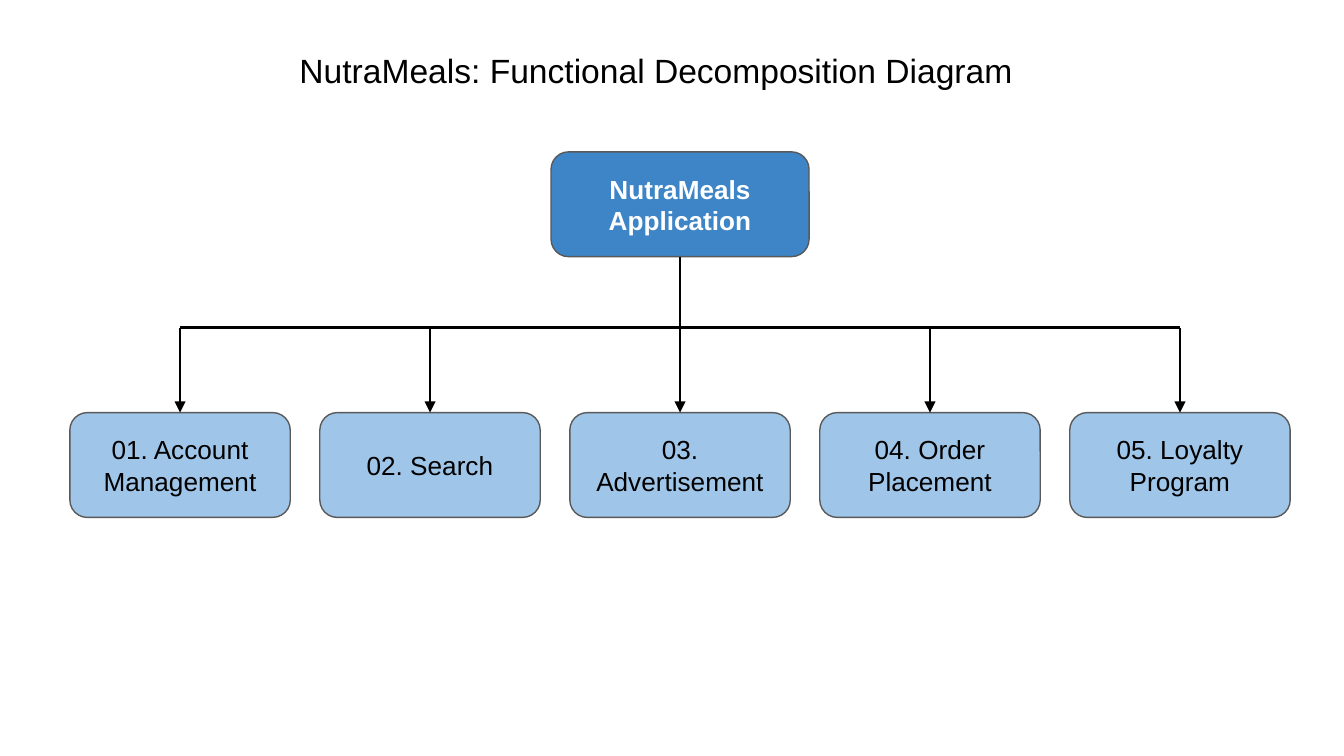
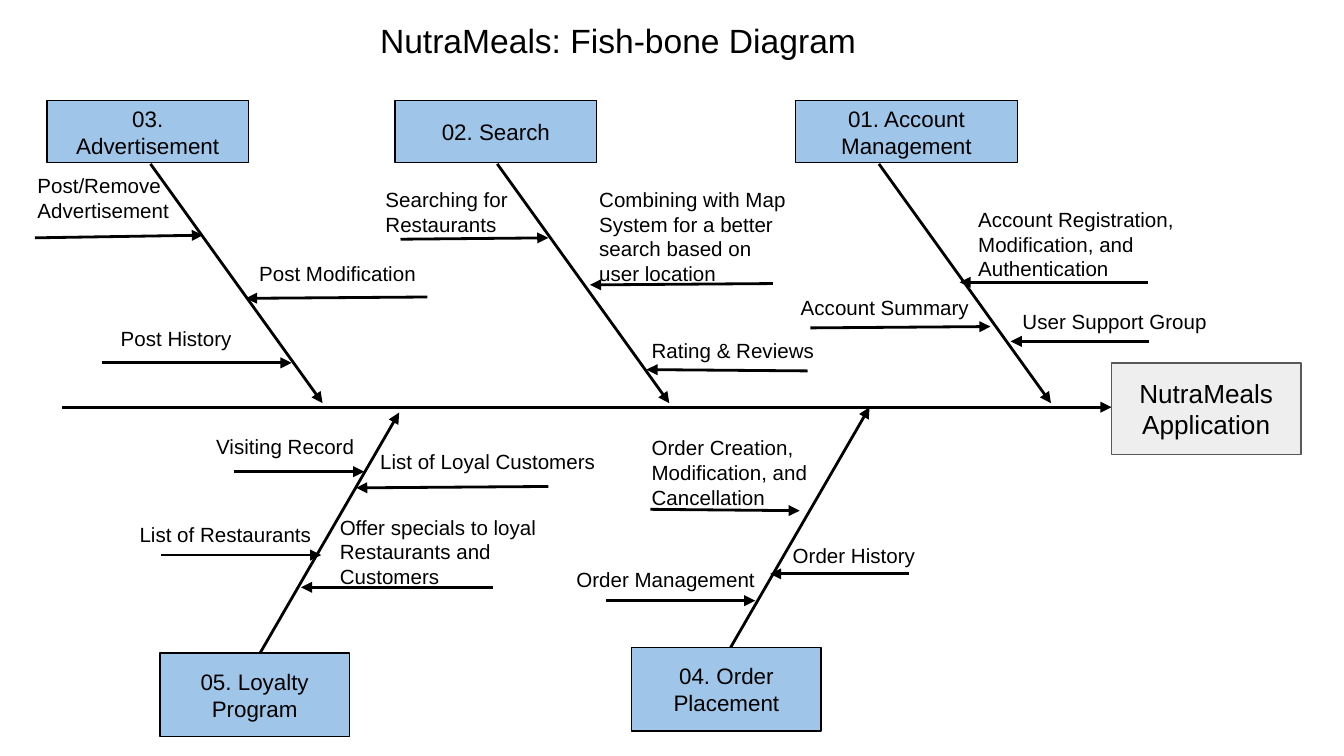
from lxml import etree
from pptx import Presentation
from pptx.dml.color import RGBColor
from pptx.enum.shapes import MSO_CONNECTOR, MSO_SHAPE
from pptx.enum.text import MSO_ANCHOR, MSO_AUTO_SIZE, PP_ALIGN
from pptx.oxml.ns import qn
from pptx.util import Emu, Inches, Pt

RECTANGLE = MSO_SHAPE.RECTANGLE
ROUNDED = MSO_SHAPE.ROUNDED_RECTANGLE
STRAIGHT = MSO_CONNECTOR.STRAIGHT
TOP, MIDDLE = MSO_ANCHOR.TOP, MSO_ANCHOR.MIDDLE
LEFT, CENTER = PP_ALIGN.LEFT, PP_ALIGN.CENTER

SLIDE_WIDTH, SLIDE_HEIGHT = Inches(10), Inches(5.625)
GRID_UNIT = SLIDE_WIDTH // 100
FONT = "Arial"
BLACK, WHITE, GRAY = "000000", "FFFFFF", "595959"
BLUE, LIGHT_BLUE, LIGHT_GRAY = "3D85C6", "9FC5E8", "EEEEEE"

APPLICATION = "NutraMeals Application"
ACCOUNT, SEARCH = "01. Account Management", "02. Search"
ADVERTISEMENT, ORDER = "03. Advertisement", "04. Order Placement"
LOYALTY = "05. Loyalty Program"
FUNCTIONS = [ACCOUNT, SEARCH, ADVERTISEMENT, ORDER, LOYALTY]

SPINE_ROW = 30.3
UPPER_BONE = (12.2, 12.8, 30)
LOWER_BONE = (48.8, 10.7, SPINE_ROW)

# Each category: name, box (column, row, width, height), bone column, bone shape.
CATEGORIES = [
    (ADVERTISEMENT, (3.5, 7.5, 15, 4.6), 11.2, UPPER_BONE),
    (SEARCH, (29.4, 7.5, 15, 4.6), 37, UPPER_BONE),
    (ACCOUNT, (59.2, 7.5, 16.5, 4.6), 65.4, UPPER_BONE),
    (LOYALTY, (11.9, 48.6, 14.1, 6.2), 19, (49.2, 10.7, 30.7)),
    (ORDER, (47, 48.2, 14.1, 6.2), 54, LOWER_BONE),
]

# Each cause: label, label (column, row, width), arrow start, arrow tip.
CAUSES = [
    ("Post/Remove Advertisement", (1.8, 11.9, 12.8), (2.6, 17.7), (15.1, 17.5)),
    ("Post Modification", (18.3, 18.5, 16.5), (31.8, 22.1), (18.3, 22.2)),
    ("Post History", (8, 23.3, 14.3), (7.6, 27), (21.7, 27)),
    ("Searching for Restaurants", (27.7, 12.9, 19.3), (29.8, 17.8), (40.8, 17.7)),
    ("Combining with Map System for a better search based on user location",
     (43.6, 12.9, 16.5), (57.5, 21.1), (43.9, 21.2)),
    ("Rating & Reviews", (47.5, 24.2, 16.5), (60.1, 27.6), (48.1, 27.5)),
    ("Account Registration, Modification, and Authentication",
     (71.8, 14.4, 21), (85.4, 21), (71.4, 21)),
    ("Account Summary", (58.6, 21, 17.7), (60.3, 24.4), (73.7, 24.3)),
    ("User Support Group", (75.1, 22.1, 17.7), (85.5, 25.4), (75.2, 25.4)),
    ("Visiting Record", (15.1, 31.4, 12.8), (17.4, 35.1), (27.1, 35.1)),
    ("List of Loyal Customers", (27.3, 32.5, 20.2), (40.8, 36.2), (26.5, 36.3)),
    ("List of Restaurants", (9.4, 37.9, 17), (12, 41.3), (23.9, 41.3)),
    ("Offer specials to loyal Restaurants and Customers",
     (24.3, 37.3, 19.3), (36.7, 43.7), (22.4, 43.7)),
    ("Order Creation, Modification, and Cancellation",
     (47.5, 31.4, 17.7), (48.4, 37.9), (59.5, 38)),
    ("Order History", (58, 39.5, 17.7), (67.6, 42.7), (57.3, 42.7)),
    ("Order Management", (41.9, 41.3, 17.7), (45.1, 44.7), (56.2, 44.7)),
]


def color(value):
    """Turn a hex string into a colour."""
    return RGBColor.from_string(value)


def grid(*cells):
    """Convert columns and rows, each a hundredth of the width, to lengths."""
    return [Emu(round(cell * GRID_UNIT)) for cell in cells]


def write(box, text, size, font_color=BLACK, bold=False, align=LEFT, anchor=TOP):
    """Put one wrapped paragraph with even margins into a box."""
    frame = box.text_frame
    frame.word_wrap = True
    frame.vertical_anchor = anchor
    frame.margin_left = frame.margin_right = Inches(0.1)
    frame.margin_top = frame.margin_bottom = Inches(0.1)
    para = frame.paragraphs[0]
    para.alignment = align
    span = para.add_run()
    span.text = text
    span.font.name = FONT
    span.font.size = Pt(size)
    span.font.bold = bold
    span.font.color.rgb = color(font_color)
    return frame


def add_box(page, kind, place, text, size, fill=LIGHT_BLUE, line=BLACK,
            font_color=BLACK, bold=False):
    """Add a filled, outlined box with centred text."""
    box = page.shapes.add_shape(kind, *grid(*place))
    box.shadow.inherit = False
    box.fill.solid()
    box.fill.fore_color.rgb = color(fill)
    box.line.color.rgb = color(line)
    box.line.width = Pt(0.75)
    write(box, text, size, font_color, bold, CENTER, MIDDLE)


def add_label(page, place, text):
    """Add a small text label."""
    write(page.shapes.add_textbox(*grid(*place, 4.8)), text, 11)


def add_title(page, place, text):
    """Add the slide title on a single line."""
    frame = write(page.shapes.add_textbox(*grid(*place, 4)), text, 18)
    frame.word_wrap = False
    frame.margin_top = frame.margin_bottom = Inches(0.05)
    frame.auto_size = MSO_AUTO_SIZE.SHAPE_TO_FIT_TEXT


def add_line(page, start, end, arrow=True):
    """Draw a black line, with an arrowhead at its end unless told otherwise."""
    connector = page.shapes.add_connector(STRAIGHT, *grid(*start, *end))
    connector.line.color.rgb = color(BLACK)
    connector.line.width = Pt(1.5)
    if arrow:
        outline = connector.line._get_or_add_ln()
        etree.SubElement(outline, qn("a:tailEnd"), type="triangle")
    etree.SubElement(connector._element.spPr, qn("a:effectLst"))


def add_page(deck):
    """Add a blank slide."""
    return deck.slides.add_slide(deck.slide_layouts[6])


def build_decomposition(deck):
    """Build the tree of the application and its five functions."""
    page = add_page(deck)
    add_title(page, (21.3, 3.2, 55.1), "NutraMeals: Functional Decomposition Diagram")
    first, pitch, width, height = 5.2, 18.6, 16.4, 7.8
    root_row, bus_row, function_row = 11.3, 24.4, 30.7
    centers = [first + pitch * index + width / 2 for index in range(len(FUNCTIONS))]
    middle = centers[len(centers) // 2]
    add_box(page, ROUNDED, (middle - 9.6, root_row, 19.2, height), APPLICATION, 14,
            BLUE, GRAY, WHITE, True)
    add_line(page, (middle, root_row + height), (middle, bus_row), arrow=False)
    add_line(page, (centers[0], bus_row), (centers[-1], bus_row), arrow=False)
    for center, name in zip(centers, FUNCTIONS):
        add_box(page, ROUNDED, (center - width / 2, function_row, width, height),
                name, 14, line=GRAY)
        add_line(page, (center, bus_row), (center, function_row))


def build_fishbone(deck):
    """Build the fish-bone of categories and their causes."""
    page = add_page(deck)
    add_title(page, (27.3, 1, 37.4), "NutraMeals: Fish-bone Diagram")
    add_line(page, (4.6, SPINE_ROW), (82.7, SPINE_ROW))
    add_box(page, RECTANGLE, (82.7, 27, 14.1, 6.8), APPLICATION, 14, LIGHT_GRAY, GRAY)
    for name, place, column, (start_row, run, end_row) in CATEGORIES:
        add_line(page, (column, start_row), (column + run, end_row))
        add_box(page, RECTANGLE, place, name, 12)
    for text, place, start, tip in CAUSES:
        add_label(page, place, text)
        add_line(page, start, tip)


def main():
    """Build and save the deck."""
    deck = Presentation()
    deck.slide_width, deck.slide_height = SLIDE_WIDTH, SLIDE_HEIGHT
    build_decomposition(deck)
    build_fishbone(deck)
    deck.save("out.pptx")


if __name__ == "__main__":
    main()
